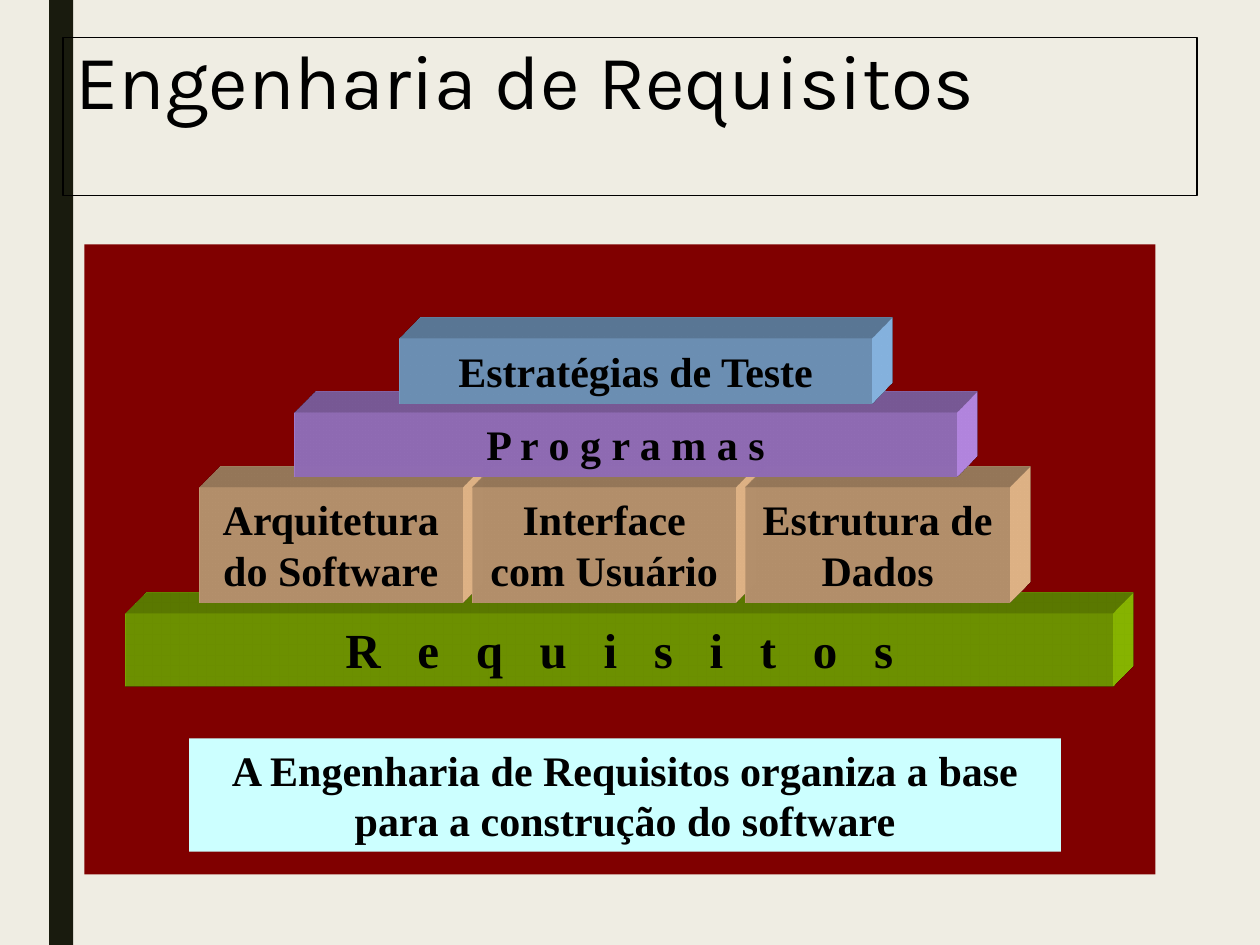
from lxml import etree
from pptx import Presentation
from pptx.dml.color import RGBColor
from pptx.enum.shapes import MSO_SHAPE as Shape
from pptx.enum.text import MSO_ANCHOR as Anchor, MSO_AUTO_SIZE as AutoSize, PP_ALIGN as Align
from pptx.util import Inches, Pt

COLORS = {
    "background": "EFEDE3", "strip": "191B0E", "panel": "800000",
    "green": "99CC00", "tan": "FFCC99", "purple": "CC99FF",
    "blue": "99CCFF", "caption": "CCFFFF", "text": "000000",
}
DRAWING_NS = "http://schemas.openxmlformats.org/drawingml/2006/main"


def add_box(page, left, top, width, height, color, text="", size=24):
    box = page.shapes.add_shape(
        Shape.RECTANGLE, Inches(left), Inches(top), Inches(width), Inches(height))
    box.shadow.inherit = False
    box.fill.solid()
    box.fill.fore_color.rgb = RGBColor.from_string(COLORS[color])
    box.line.fill.background()
    if text:
        frame = box.text_frame
        frame.word_wrap = True
        frame.auto_size = AutoSize.SHAPE_TO_FIT_TEXT
        frame.vertical_anchor = Anchor.TOP
        para = frame.paragraphs[0]
        para.text = text
        para.alignment = Align.CENTER
        para.font.name = "Times New Roman"
        para.font.size = Pt(size)
        para.font.bold = True
        para.font.color.rgb = RGBColor.from_string(COLORS["text"])
    return box


def extrude(box, color):
    """Give a box depth towards the top right."""
    parts = etree.fromstring(f"""
        <root xmlns:a="{DRAWING_NS}">
          <a:scene3d>
            <a:camera prst="legacyObliqueTopRight"/>
            <a:lightRig rig="legacyFlat3" dir="b"/>
          </a:scene3d>
          <a:sp3d extrusionH="430200" prstMaterial="legacyMatte">
            <a:bevelT w="13500" h="13500" prst="angle"/>
            <a:bevelB w="13500" h="13500" prst="angle"/>
            <a:extrusionClr><a:srgbClr val="{COLORS[color]}"/></a:extrusionClr>
          </a:sp3d>
        </root>""")
    box._element.spPr.extend(list(parts))


deck = Presentation()
deck.slide_width, deck.slide_height = Inches(10), Inches(7.5)
page = deck.slides.add_slide(deck.slide_layouts[5])
page.background.fill.solid()
page.background.fill.fore_color.rgb = RGBColor.from_string(COLORS["background"])

# Side strip, behind the title
strip = add_box(page, 0.39, 0, 0.19, 7.5, "strip")
page.shapes._spTree.insert(2, strip._element)

# Title
title = page.shapes.title
title.left, title.top = Inches(0.5), Inches(0.3)
title.width, title.height = Inches(9), Inches(1.25)
title.line.color.rgb = RGBColor.from_string(COLORS["text"])
title.line.width = Pt(0.75)
title.text_frame.auto_size = AutoSize.NONE
title.text_frame.vertical_anchor = Anchor.TOP
para = title.text_frame.paragraphs[0]
para.text = "Engenharia de Requisitos"
para.alignment = Align.LEFT
para.line_spacing = 0.89
para.font.name = "Karla"
para.font.size = Pt(44)
para.font.color.rgb = RGBColor.from_string(COLORS["text"])

# Panel
add_box(page, 0.67, 1.94, 8.5, 5, "panel")

# Building blocks, from the base up
design_parts = ["Arquitetura do Software", "Interface com Usuário", "Estrutura de Dados"]
blocks = [(1, 4.87, 7.83, 0.58, "green", "   ".join("Requisitos"), 28)]
for index, text in enumerate(design_parts):
    blocks.append((1.58 + index * 2.17, 3.87, 2.09, 0.91, "tan", text, 24))
blocks += [
    (2.34, 3.27, 5.25, 0.51, "purple", " ".join("Programas"), 24),
    (3.17, 2.69, 3.75, 0.51, "blue", "Estratégias de Teste", 24),
]
for left, top, width, height, color, text, size in blocks:
    block = add_box(page, left, top, width, height, color, text, size)
    extrude(block, color)

# Caption
add_box(page, 1.5, 5.86, 6.92, 0.9, "caption",
        "A Engenharia de Requisitos organiza a base para a construção do software")

deck.save("out.pptx")
